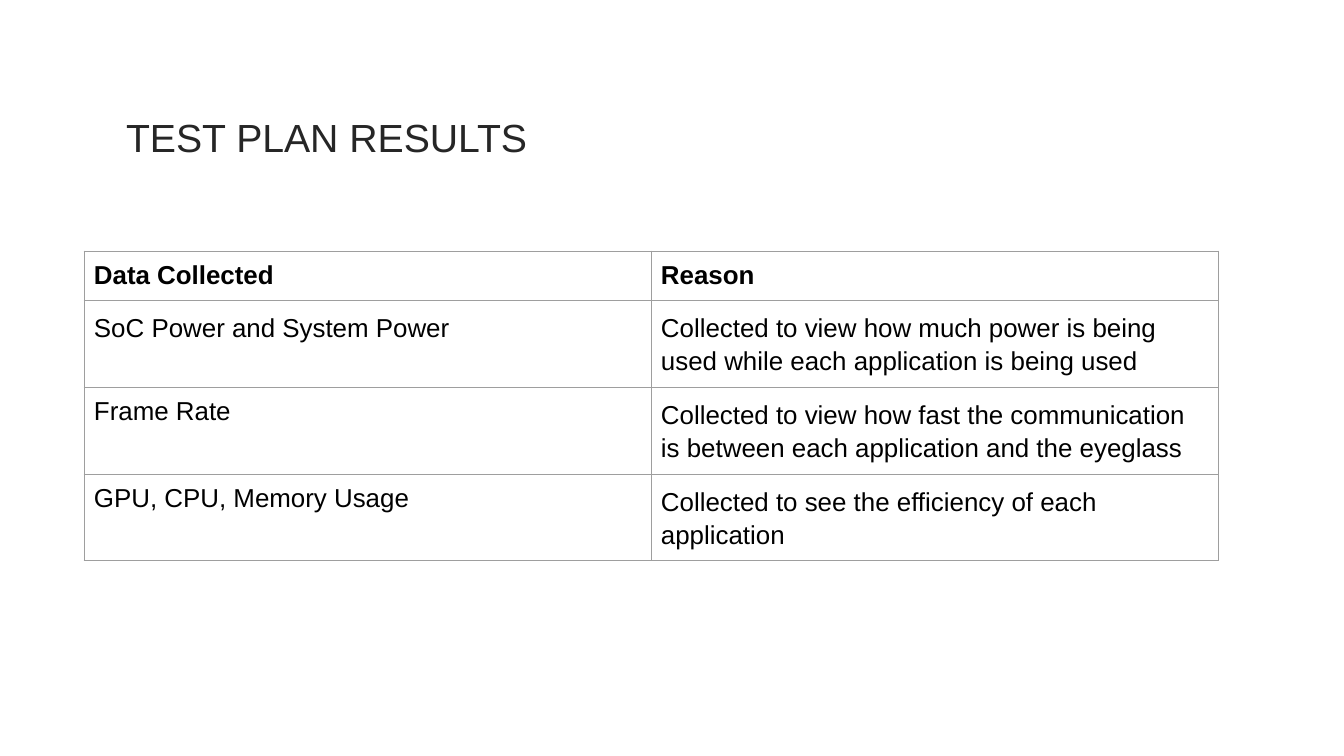
"""Build the test plan results slide with its table of collected data."""
import pptx
import pptx.dml.color
import pptx.enum.text
import pptx.oxml
import pptx.oxml.ns
import pptx.util

SCALE = 914400 / 100.8
FONT = "Arial"
INK = "000000"
EDGE = "9E9E9E"
ROWS = [
    ("Data Collected", "Reason"),
    ("SoC Power and System Power",
     "Collected to view how much power is being used while each application is being used"),
    ("Frame Rate",
     "Collected to view how fast the communication is between each application and the eyeglass"),
    ("GPU, CPU, Memory Usage",
     "Collected to see the efficiency of each application"),
]
LOOSE = {(1, 0), (1, 1), (2, 1), (3, 1)}


def px(count):
    """Turn pixels into EMU."""
    return pptx.util.Emu(round(count * SCALE))


def color(code):
    """Turn a hex string into a colour."""
    return pptx.dml.color.RGBColor.from_string(code)


def style(para, size, ink, space=1.0, bold=False):
    """Set the font and line spacing of a paragraph."""
    para.alignment = pptx.enum.text.PP_ALIGN.LEFT
    para.line_spacing = space
    font = para.font
    font.name, font.size, font.bold = FONT, pptx.util.Pt(size), bold
    font.color.rgb = color(ink)


def add_title(slide, text):
    """Place and format the title."""
    title = slide.shapes.title
    title.left, title.top = px(116), px(68)
    title.width, title.height = px(1082), px(134)
    frame = title.text_frame
    frame.text = text
    frame.word_wrap = True
    frame.vertical_anchor = pptx.enum.text.MSO_ANCHOR.MIDDLE
    style(frame.paragraphs[0], 28, "262626", 1.1)


def add_edges(cell):
    """Draw a thin line on each side of a cell."""
    props = cell._tc.get_or_add_tcPr()
    names = pptx.oxml.ns.nsdecls("a")
    for side in "LRTB":
        props.append(pptx.oxml.parse_xml(
            f'<a:ln{side} {names} w="{pptx.util.Pt(0.75)}"><a:solidFill>'
            f'<a:srgbClr val="{EDGE}"/></a:solidFill></a:ln{side}>'))


def fill_cell(cell, text, space, bold):
    """Write and format one cell."""
    cell.text = text
    cell.margin_left = cell.margin_right = px(10)
    cell.margin_top = cell.margin_bottom = px(10)
    cell.vertical_anchor = pptx.enum.text.MSO_ANCHOR.TOP
    style(cell.text_frame.paragraphs[0], 18.5, INK, space, bold)
    add_edges(cell)
    cell.fill.background()


def add_grid(slide, rows):
    """Add the table with a header row."""
    frame = slide.shapes.add_table(
        len(rows), 2, px(84), px(251), px(1134), px(310))
    table = frame.table
    table.first_row = table.horz_banding = False
    for row, texts in enumerate(rows):
        table.rows[row].height = px(87 if row else 49)
        for col, text in enumerate(texts):
            space = 1.15 if (row, col) in LOOSE else 1.0
            fill_cell(table.cell(row, col), text, space, row == 0)


def main():
    """Build and save the slide."""
    deck = pptx.Presentation()
    deck.slide_width, deck.slide_height = px(1344), px(756)
    slide = deck.slides.add_slide(deck.slide_layouts[5])
    add_title(slide, "TEST PLAN RESULTS")
    add_grid(slide, ROWS)
    deck.save("out.pptx")


if __name__ == "__main__":
    main()
